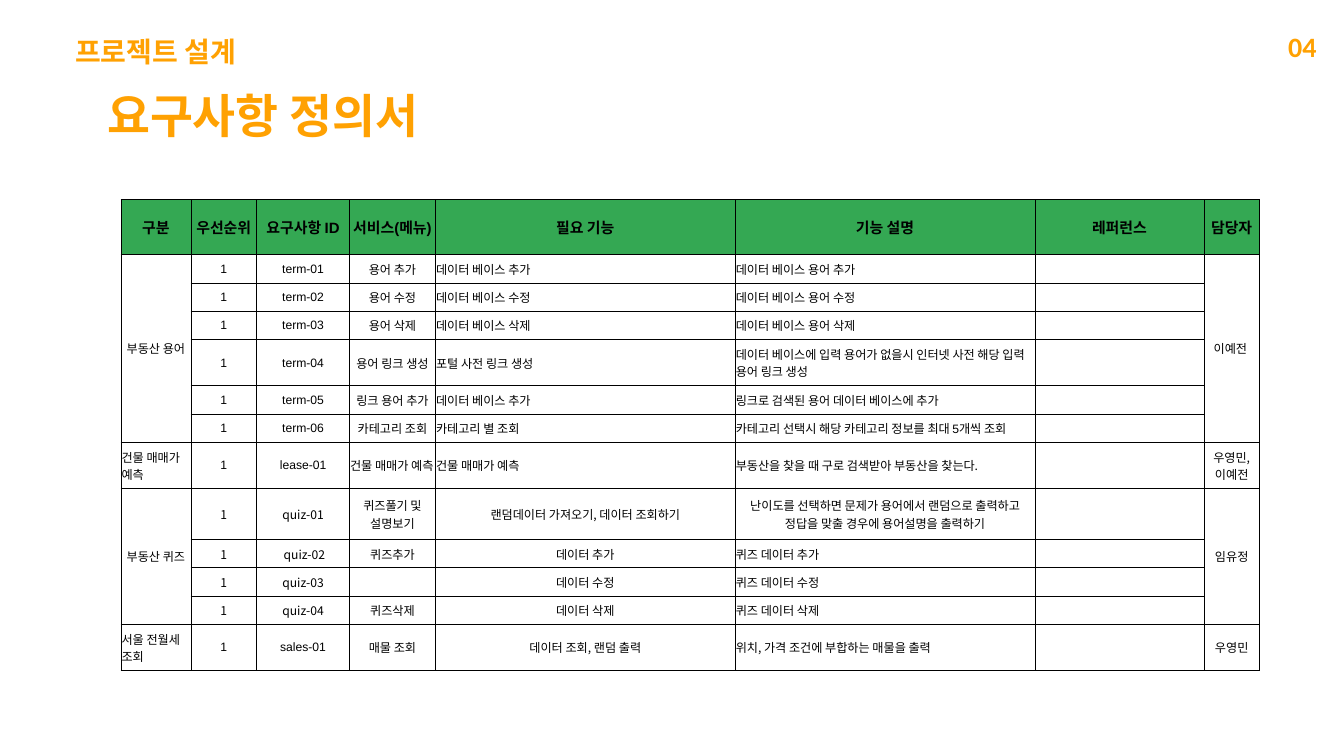
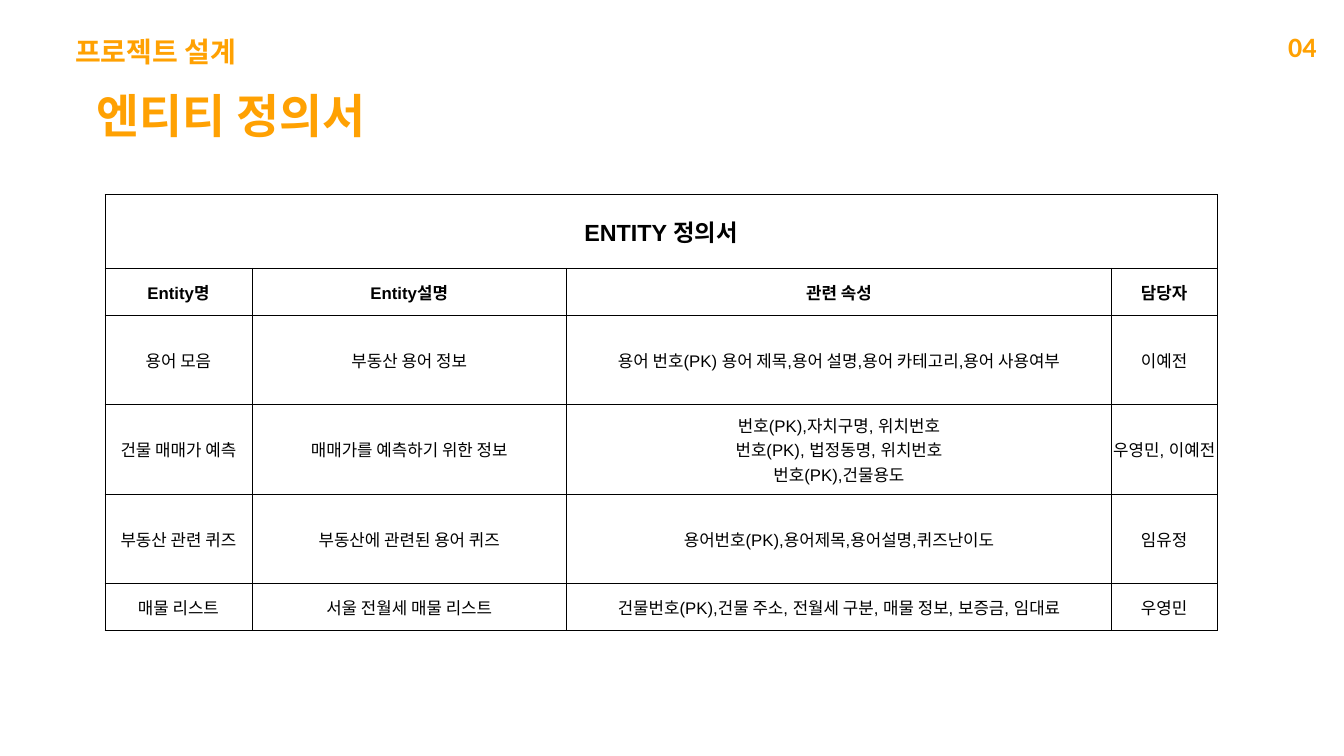
from lxml.etree import SubElement
from pptx import Presentation
from pptx.dml.color import RGBColor
from pptx.enum.text import MSO_ANCHOR, MSO_AUTO_SIZE, PP_ALIGN
from pptx.oxml import parse_xml
from pptx.oxml.ns import nsdecls, qn
from pptx.util import Inches, Pt

ORANGE, GREEN, BLACK = "FFA102", "34A853", "000000"
KOREAN, LATIN, NUMBER = "Noto Sans CJK KR", "Arial", "Calibri"
LEFT, CENTER, RIGHT = PP_ALIGN.LEFT, PP_ALIGN.CENTER, PP_ALIGN.RIGHT

REQUIREMENT_HEADS = ["구분", "우선순위", "요구사항 ID", "서비스(메뉴)",
                     "필요 기능", "기능 설명", "레퍼런스", "담당자"]
REQUIREMENT_WIDTHS = [1.04, 0.98, 1.38, 1.28, 4.46, 4.46, 2.52, 0.82]
# Each group: name, owner, font of its IDs, and its rows of ID, service, feature, description
REQUIREMENT_GROUPS = [
    ("부동산 용어", "이예전 ", LATIN, [
        ("term-01", "용어 추가", "데이터 베이스 추가", "데이터 베이스 용어 추가"),
        ("term-02", "용어 수정", "데이터 베이스 수정", "데이터 베이스 용어 수정"),
        ("term-03", "용어 삭제", "데이터 베이스 삭제", "데이터 베이스 용어 삭제"),
        ("term-04", "용어 링크 생성", "포털 사전 링크 생성",
         "데이터 베이스에 입력 용어가 없을시 인터넷 사전 해당 입력 용어 링크 생성"),
        ("term-05", "링크 용어 추가", "데이터 베이스 추가",
         "링크로 검색된 용어 데이터 베이스에 추가"),
        ("term-06", "카테고리 조회", "카테고리 별 조회",
         "카테고리 선택시 해당 카테고리 정보를 최대 |5|개씩 조회"),
    ]),
    ("건물 매매가 예측", "우영민, 이예전", LATIN, [
        ("lease-01", "건물 매매가 예측", "건물 매매가 예측",
         "부동산을 찾을 때 구로 검색받아 부동산을 찾는다."),
    ]),
    ("부동산 퀴즈", "임유정", KOREAN, [
        ("quiz-01", "퀴즈풀기 및 설명보기", "랜덤데이터 가져오기, 데이터 조회하기",
         "난이도를 선택하면 문제가 용어에서 랜덤으로 출력하고 정답을 맞출 경우에 용어설명을 출력하기"),
        (" quiz-02", "퀴즈추가", "데이터 추가", "퀴즈 데이터 추가"),
        ("quiz-03", "", "데이터 수정", "퀴즈 데이터 수정"),
        ("quiz-04", "퀴즈삭제", "데이터 삭제", "퀴즈 데이터 삭제"),
    ]),
    ("서울 전월세 조회", "우영민", LATIN, [
        ("sales-01", "매물 조회", "데이터 조회, 랜덤 출력",
         "위치, 가격 조건에 부합하는 매물을 출력"),
    ]),
]
ROW_HEIGHT = 0.42
TALL_ROWS = {"term-04": 0.69, "lease-01": 0.69, "quiz-01": 0.76, "sales-01": 0.69}

ENTITY_WIDTHS = [2.19, 4.68, 8.11, 1.57]
ENTITY_HEIGHTS = [1.1, 0.7, 1.33, 1.33, 1.33, 0.7]
ENTITY_ROWS = [
    ("Entity명", "Entity설명", "관련 속성", "담당자"),
    ("용어 모음", "부동산 용어 정보",
     "용어 번호(PK) 용어 제목,용어 설명,용어 카테고리,용어 사용여부", "이예전"),
    ("건물 매매가 예측", "매매가를 예측하기 위한 정보",
     "번호(PK),자치구명, 위치번호\n번호(PK), 법정동명, 위치번호\n번호(PK),건물용도",
     "우영민, 이예전"),
    ("부동산 관련 퀴즈", "부동산에 관련된 용어 퀴즈",
     "용어번호(PK),용어제목,용어설명,퀴즈난이도", "임유정"),
    ("매물 리스트", "서울 전월세 매물 리스트",
     "건물번호(PK),건물 주소, 전월세 구분, 매물 정보, 보증금, 임대료", "우영민"),
]


def color(value):
    return RGBColor.from_string(value)


def write_text(frame, text, size=13, font=KOREAN, ink=BLACK, bold=False, align=CENTER):
    """Write one paragraph; parts between bars are set in the Latin font."""
    para = frame.paragraphs[0]
    para.alignment = align
    for line_index, line in enumerate(text.split("\n")):
        if line_index:
            para.add_line_break()
        for part_index, part in enumerate(line.split("|")):
            span = para.add_run()
            span.text = part
            span.font.name = LATIN if part_index % 2 else font
            span.font.size = Pt(size)
            span.font.bold = bold
            span.font.color.rgb = color(ink)
            east_asian = SubElement(span.font._element, qn("a:ea"))
            east_asian.set("typeface", KOREAN)


def add_label(page, text, left, top, width, height, **text_format):
    box = page.shapes.add_textbox(Inches(left), Inches(top), Inches(width), Inches(height))
    box.text_frame.word_wrap = True
    box.text_frame.auto_size = MSO_AUTO_SIZE.SHAPE_TO_FIT_TEXT
    write_text(box.text_frame, text, ink=ORANGE, bold=True, **text_format)


def add_page(deck, title, title_left):
    page = deck.slides.add_slide(deck.slide_layouts[6])
    add_label(page, "04", 18.52, 0.39, 1.17, 0.61, size=30, font=NUMBER, align=RIGHT)
    add_label(page, "프로젝트 설계", 1.02, 0.47, 3.2, 0.61, size=30, align=LEFT)
    add_label(page, title, title_left, 1.25, 5.78, 0.94, size=50)
    return page


def outline_cell(cell):
    properties = cell._tc.get_or_add_tcPr()
    for index, side in enumerate(("lnL", "lnR", "lnT", "lnB")):
        properties.insert(index, parse_xml(
            f'<a:{side} {nsdecls("a")} w="{Pt(0.5)}"><a:solidFill>'
            f'<a:srgbClr val="{BLACK}"/></a:solidFill></a:{side}>'))


def add_grid(page, left, top, widths, heights):
    """Add an empty table with thin black borders and no fills."""
    table = page.shapes.add_table(
        len(heights), len(widths), Inches(left), Inches(top),
        Inches(sum(widths)), Inches(sum(heights))).table
    table.first_row = table.horz_banding = False
    for column, width in zip(table.columns, widths):
        column.width = Inches(width)
    for row, height in zip(table.rows, heights):
        row.height = Inches(height)
    for cell in table.iter_cells():
        cell.margin_left = cell.margin_top = cell.margin_right = Inches(0.01)
        cell.margin_bottom = 0
        cell.vertical_anchor = MSO_ANCHOR.MIDDLE
        cell.fill.background()
        outline_cell(cell)
    return table


def fill_cell(table, row, column, text, **text_format):
    if text:
        write_text(table.cell(row, column).text_frame, text, **text_format)


def fill_requirement(table, row, requirement, id_font, in_first_groups):
    identifier, service, feature, description = requirement
    fill_cell(table, row, 1, "1", font=id_font)
    fill_cell(table, row, 2, identifier, font=id_font)
    fill_cell(table, row, 3, service, align=LEFT if identifier == "lease-01" else CENTER)
    fill_cell(table, row, 4, feature, align=LEFT if in_first_groups else CENTER)
    fill_cell(table, row, 5, description, align=CENTER if identifier == "quiz-01" else LEFT)


def build_requirements(deck):
    page = add_page(deck, "요구사항 정의서", 1.02)
    heights = [0.82] + [TALL_ROWS.get(requirement[0], ROW_HEIGHT)
                        for group in REQUIREMENT_GROUPS for requirement in group[3]]
    table = add_grid(page, 1.8, 2.97, REQUIREMENT_WIDTHS, heights)
    for column, head in enumerate(REQUIREMENT_HEADS):
        cell = table.cell(0, column)
        cell.fill.solid()
        cell.fill.fore_color.rgb = color(GREEN)
        fill_cell(table, 0, column, head, size=16, bold=True,
                  font=KOREAN if head == "담당자" else LATIN)
    first = 1
    for group_index, (name, owner, id_font, requirements) in enumerate(REQUIREMENT_GROUPS):
        last = first + len(requirements) - 1
        if last > first:
            for column in (0, 7):
                table.cell(first, column).merge(table.cell(last, column))
        fill_cell(table, first, 0, name, align=CENTER if last > first else LEFT)
        fill_cell(table, first, 7, owner)
        for row, requirement in enumerate(requirements, first):
            fill_requirement(table, row, requirement, id_font, group_index < 2)
        first = last + 1


def build_entities(deck):
    page = add_page(deck, "엔티티 정의서", 0.55)
    table = add_grid(page, 1.56, 2.89, ENTITY_WIDTHS, ENTITY_HEIGHTS)
    table.cell(0, 0).merge(table.cell(0, 3))
    fill_cell(table, 0, 0, "ENTITY 정의서", size=25, font=LATIN, bold=True)
    for row, texts in enumerate(ENTITY_ROWS, 1):
        for column, text in enumerate(texts):
            fill_cell(table, row, column, text, size=18, font=LATIN, bold=row == 1)


def main():
    deck = Presentation()
    deck.slide_width, deck.slide_height = Inches(20), Inches(11.25)
    build_requirements(deck)
    build_entities(deck)
    deck.save("out.pptx")


if __name__ == "__main__":
    main()
